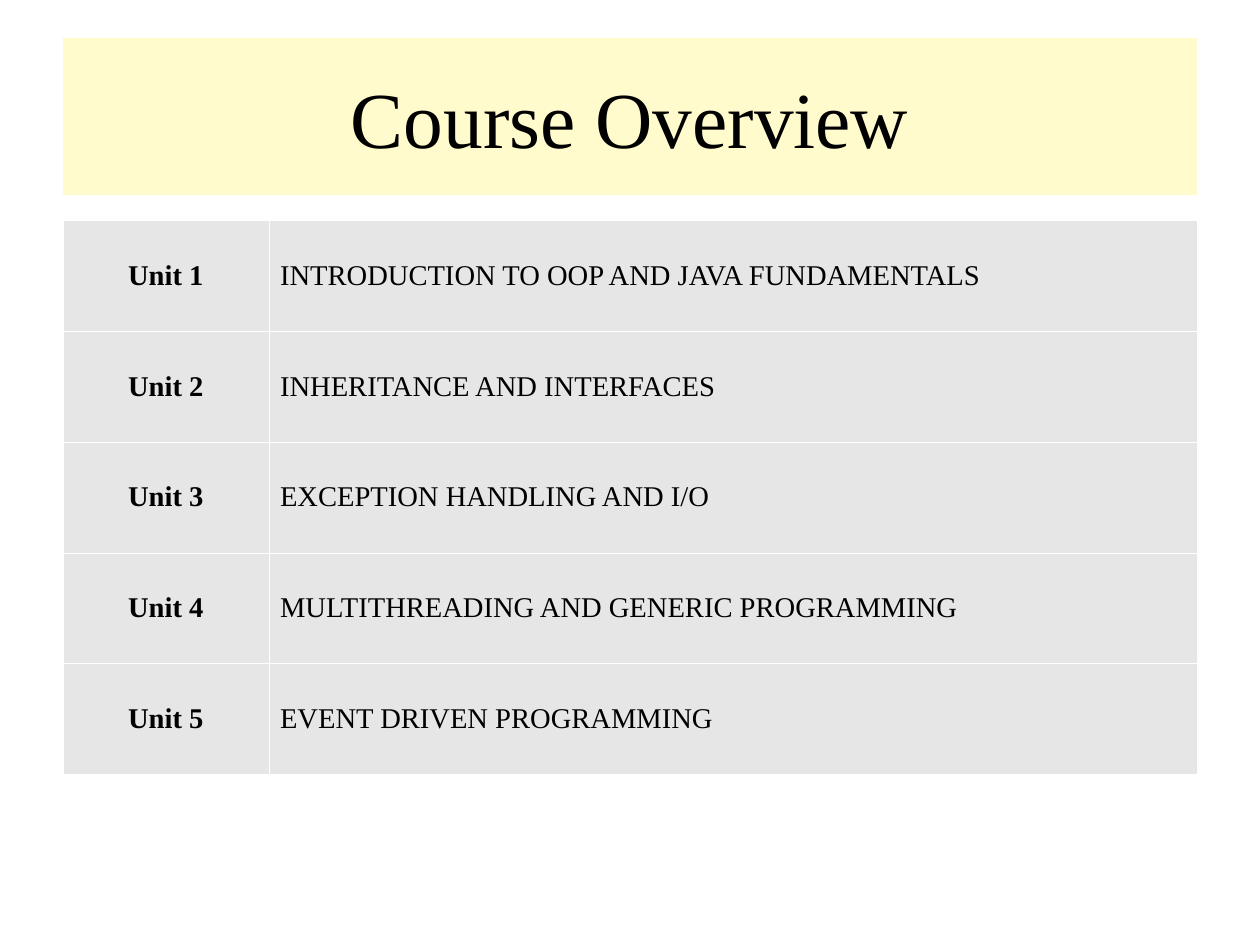
from dataclasses import dataclass
from typing import Any

from lxml.etree import SubElement
from pptx import Presentation
from pptx.dml.color import RGBColor
from pptx.enum.shapes import MSO_SHAPE
from pptx.enum.text import MSO_ANCHOR, PP_ALIGN
from pptx.oxml.ns import qn
from pptx.slide import Slide
from pptx.table import _Cell
from pptx.text.text import _Paragraph
from pptx.util import Cm, Pt


@dataclass(frozen=True)
class Theme:
    font: str = "Times New Roman"
    title_size: float = 50
    table_size: float = 18
    text: str = "000000"
    banner: str = "FFFBCC"
    cell: str = "E6E6E6"
    border: str = "FFFFFF"
    border_width: float = 0.06


@dataclass(frozen=True)
class Unit:
    number: int
    topic: str


THEME = Theme()
LEFT, WIDTH = Cm(1.4), Cm(25.2)
LABEL_WIDTH = Cm(4.57)
ROW_HEIGHT = Cm(2.46)
UNITS = [
    Unit(number, topic)
    for number, topic in enumerate(
        (
            "INTRODUCTION TO OOP AND JAVA FUNDAMENTALS",
            "INHERITANCE AND INTERFACES",
            "EXCEPTION HANDLING AND I/O",
            "MULTITHREADING AND GENERIC PROGRAMMING",
            "EVENT DRIVEN PROGRAMMING",
        ),
        start=1,
    )
]


def apply_format(target: Any, values: dict[str, Any]) -> None:
    for name, value in values.items():
        setattr(target, name, value)


def write_text(
    paragraph: _Paragraph, text: str, size: float, alignment: PP_ALIGN, bold: bool = False
) -> None:
    paragraph.alignment = alignment
    run = paragraph.add_run()
    run.text = text
    apply_format(run.font, {"name": THEME.font, "size": Pt(size), "bold": bold})
    run.font.color.rgb = RGBColor.from_string(THEME.text)


def add_title(slide: Slide, text: str) -> None:
    banner = slide.shapes.add_shape(MSO_SHAPE.RECTANGLE, LEFT, Cm(0.84), WIDTH, Cm(3.5))
    banner.shadow.inherit = False
    banner.fill.solid()
    banner.fill.fore_color.rgb = RGBColor.from_string(THEME.banner)
    banner.line.fill.background()
    frame = banner.text_frame
    margins = dict.fromkeys(("margin_left", "margin_top", "margin_right", "margin_bottom"), 0)
    apply_format(frame, margins | {"word_wrap": True, "vertical_anchor": MSO_ANCHOR.MIDDLE})
    write_text(frame.paragraphs[0], text, THEME.title_size, PP_ALIGN.CENTER)


def style_cell(cell: _Cell) -> None:
    properties = cell._tc.get_or_add_tcPr()
    for side in ("lnL", "lnR", "lnT", "lnB"):
        line = SubElement(properties, qn(f"a:{side}"), w=str(Pt(THEME.border_width)))
        SubElement(SubElement(line, qn("a:solidFill")), qn("a:srgbClr"), val=THEME.border)
    cell.fill.solid()
    cell.fill.fore_color.rgb = RGBColor.from_string(THEME.cell)
    cell.vertical_anchor = MSO_ANCHOR.MIDDLE


def add_units(slide: Slide, units: list[Unit]) -> None:
    height = ROW_HEIGHT * len(units)
    table = slide.shapes.add_table(len(units), 2, LEFT, Cm(4.9), WIDTH, height).table
    apply_format(table, {"first_row": False, "horz_banding": False})
    for column, width in zip(table.columns, (LABEL_WIDTH, WIDTH - LABEL_WIDTH)):
        column.width = width
    for row, unit in zip(table.rows, units):
        row.height = ROW_HEIGHT
        label, topic = row.cells
        for cell in (label, topic):
            style_cell(cell)
        write_text(
            label.text_frame.paragraphs[0],
            f"Unit {unit.number}",
            THEME.table_size,
            PP_ALIGN.CENTER,
            bold=True,
        )
        write_text(topic.text_frame.paragraphs[0], unit.topic, THEME.table_size, PP_ALIGN.LEFT)


def main() -> None:
    """Build the course overview slide."""
    presentation = Presentation()
    apply_format(presentation, {"slide_width": Cm(28), "slide_height": Cm(21)})
    slide = presentation.slides.add_slide(presentation.slide_layouts[6])
    add_title(slide, "Course Overview")
    add_units(slide, UNITS)
    presentation.save("out.pptx")


if __name__ == "__main__":
    main()
